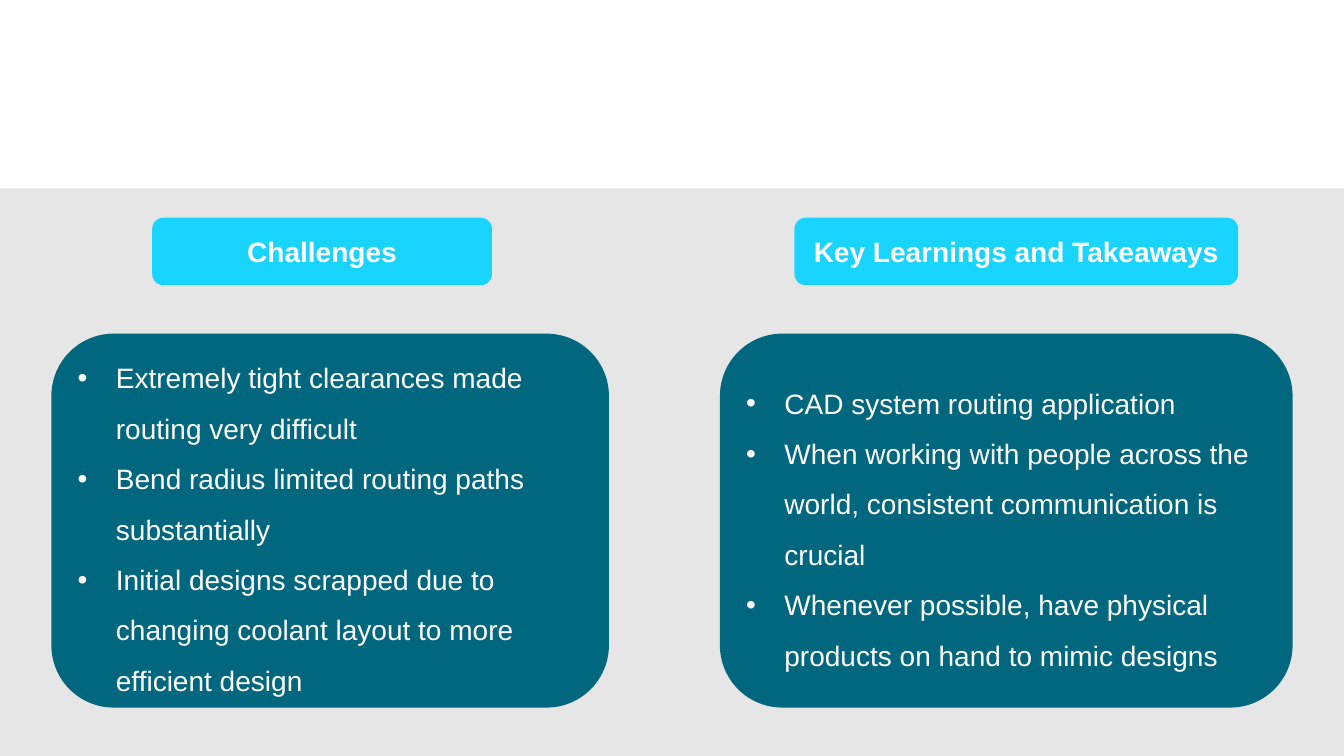
from dataclasses import dataclass

from pptx import Presentation
from pptx.dml.color import RGBColor
from pptx.enum.shapes import MSO_SHAPE as Preset
from pptx.enum.text import MSO_ANCHOR as Anchor, MSO_AUTO_SIZE as AutoSize, PP_ALIGN as Align
from pptx.oxml.ns import qn
from pptx.util import Emu, Inches, Pt
from lxml.etree import SubElement

WHITE = RGBColor(0xFF, 0xFF, 0xFF)
PALE_GREY = RGBColor(0xE6, 0xE6, 0xE6)
TEAL = RGBColor(0x00, 0x67, 0x7F)
CYAN = RGBColor(0x19, 0xD4, 0xFF)

# Slide size and shared rows, in inches
WIDTH, HEIGHT = 13.33, 7.5
BAND_TOP = 1.87
HEADING_TOP, HEADING_HEIGHT = 2.16, 0.67
CARD_TOP, CARD_HEIGHT = 3.31, 3.71
PADDING = 0.08
HANG = 0.38
CORNER_INSET = 0.18  # room taken by the rounded corner of a card


@dataclass(frozen=True)
class Column:
    heading: str
    heading_left: float
    heading_width: float
    card_left: float
    card_width: float
    points: tuple[str, ...]


COLUMNS = (
    Column("Challenges", 1.51, 3.37, 0.51, 5.53, (
        "Extremely tight clearances made routing very difficult",
        "Bend radius limited routing paths substantially",
        "Initial designs scrapped due to changing coolant layout to more efficient design",
    )),
    Column("Key Learnings and Takeaways", 7.88, 4.4, 7.14, 5.68, (
        "CAD system routing application",
        "When working with people across the world, consistent communication is crucial",
        "Whenever possible, have physical products on hand to mimic designs",
    )),
)


def add_block(slide, preset, left: float, top: float, width: float, height: float,
              color: RGBColor):
    """Draw a plain filled shape."""
    block = slide.shapes.add_shape(
        preset, Inches(left), Inches(top), Inches(width), Inches(height))
    block.shadow.inherit = False
    block.fill.solid()
    block.fill.fore_color.rgb = color
    block.line.fill.background()
    return block


def write_text(frame, lines: tuple[str, ...], *, bold: bool = False, align=Align.LEFT,
               spacing: float = 1.0, bullets: bool = False, side: float = PADDING,
               edge: float = PADDING) -> None:
    """Fill a text frame with one paragraph per line."""
    frame.word_wrap = True
    frame.auto_size = AutoSize.NONE
    frame.vertical_anchor = Anchor.MIDDLE
    frame.margin_left = frame.margin_right = Inches(side)
    frame.margin_top = frame.margin_bottom = Inches(edge)
    for index, line in enumerate(lines):
        paragraph = frame.paragraphs[0] if index == 0 else frame.add_paragraph()
        paragraph.alignment = align
        paragraph.line_spacing = spacing
        paragraph.space_before = paragraph.space_after = Pt(0)
        if bullets:
            properties = paragraph._p.get_or_add_pPr()
            properties.set("marL", str(Inches(HANG)))
            properties.set("indent", str(Emu(-Inches(HANG))))
            SubElement(properties, qn("a:buFont"), typeface="Arial")
            SubElement(properties, qn("a:buChar"), char="•")
        run = paragraph.add_run()
        run.text = line
        run.font.name = "Arial"
        run.font.size = Pt(20)
        run.font.bold = bold
        run.font.color.rgb = WHITE


def add_column(slide, column: Column, points) -> None:
    """Draw a card, its bulleted points and the heading above it."""
    add_block(slide, Preset.ROUNDED_RECTANGLE, column.card_left, CARD_TOP,
              column.card_width, CARD_HEIGHT, TEAL)

    # The list placeholder lies over its card
    points.left, points.top = Inches(column.card_left), Inches(CARD_TOP)
    points.width, points.height = Inches(column.card_width), Inches(CARD_HEIGHT)
    slide.shapes.element.append(points.element)
    write_text(points.text_frame, column.points, spacing=1.5, bullets=True,
               side=PADDING + CORNER_INSET, edge=0)

    heading = add_block(slide, Preset.ROUNDED_RECTANGLE, column.heading_left, HEADING_TOP,
                        column.heading_width, HEADING_HEIGHT, CYAN)
    write_text(heading.text_frame, (column.heading,), bold=True, align=Align.CENTER)


def main() -> None:
    deck = Presentation()
    deck.slide_width, deck.slide_height = Inches(WIDTH), Inches(HEIGHT)
    slide = deck.slides.add_slide(deck.slide_layouts.get_by_name("Two Content"))

    # The slide shows no title
    title = slide.shapes.title.element
    title.getparent().remove(title)
    lists = list(slide.placeholders)

    # Grey band behind both columns
    add_block(slide, Preset.RECTANGLE, 0, BAND_TOP, WIDTH, HEIGHT - BAND_TOP, PALE_GREY)
    for column, points in zip(COLUMNS, lists):
        add_column(slide, column, points)
    deck.save("out.pptx")


if __name__ == "__main__":
    main()
